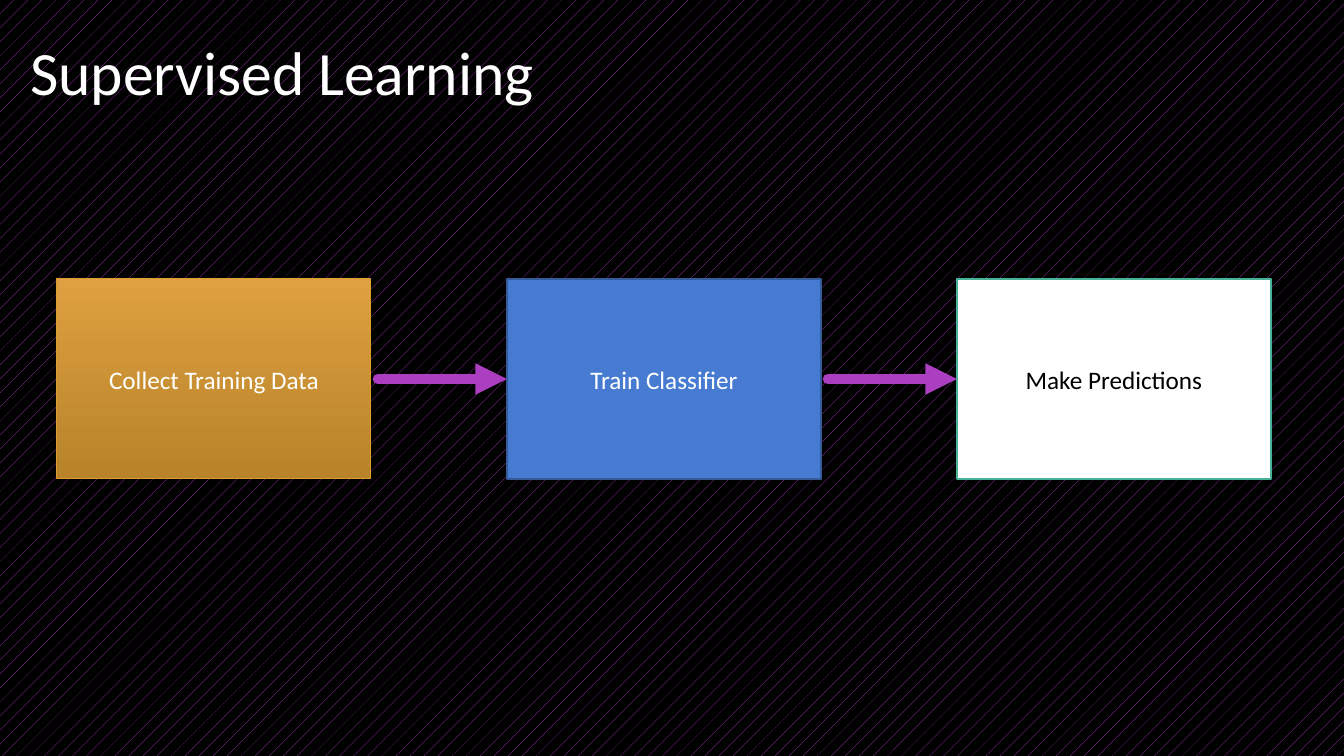
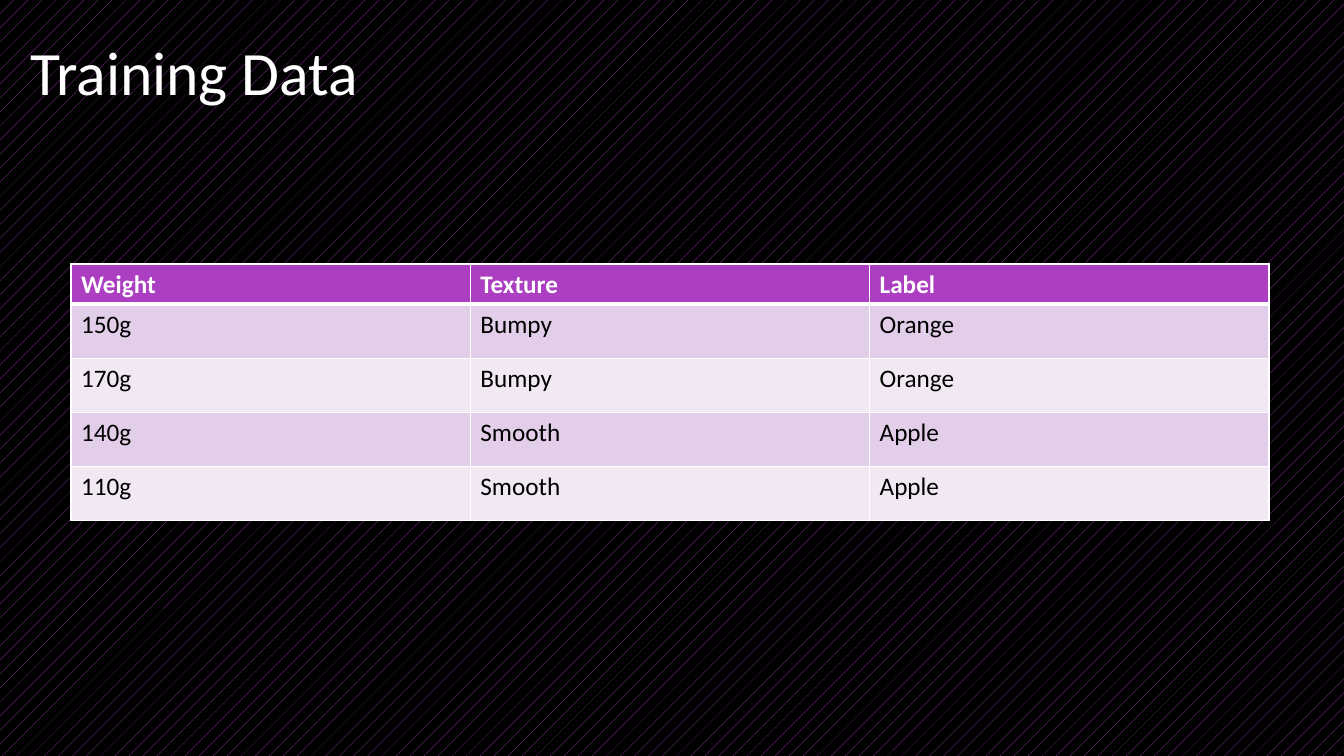
from lxml.etree import SubElement
from pptx import Presentation
from pptx.dml.color import RGBColor
from pptx.enum.dml import MSO_PATTERN
from pptx.enum.shapes import MSO_CONNECTOR, MSO_SHAPE
from pptx.enum.text import MSO_ANCHOR, MSO_AUTO_SIZE, PP_ALIGN
from pptx.oxml import parse_xml
from pptx.oxml.ns import nsdecls, qn
from pptx.util import Pt

EMU_PER_PX = 914400 / 100.8
SLIDE_W, SLIDE_H = 1344, 756
TITLE_ONLY = 5
COLORS = {
    "black": "000000", "white": "FFFFFF", "purple": "AC3EC1",
    "gold_top": "DEA040", "gold_bottom": "B88329", "gold_line": "DD9D31",
    "blue": "477BD1", "blue_line": "355B9B", "green_line": "46B298",
    "band_dark": "E3CEE9", "band_light": "F1E8F4",
}
TITLE_FONT = {"name": "Calibri", "size": Pt(44), "bold": False}
BODY_FONT = {"name": "Calibri", "size": Pt(18), "bold": False}
HEADER_FONT = {**BODY_FONT, "bold": True}

# label, fill colours (two make a gradient), line colour, line points, text colour
STEPS = [
    ("Collect Training Data", ["gold_top", "gold_bottom"], "gold_line", 0.75, "white"),
    ("Train Classifier", ["blue"], "blue_line", 1.5, "white"),
    ("Make Predictions", ["white"], "green_line", 1.5, "black"),
]
FRUIT_ROWS = [
    ("Weight", "Texture", "Label"),
    ("150g", "Bumpy", "Orange"),
    ("170g", "Bumpy", "Orange"),
    ("140g", "Smooth", "Apple"),
    ("110g", "Smooth", "Apple"),
]


def px(length):
    return round(length * EMU_PER_PX)


def rgb(name):
    return RGBColor.from_string(COLORS[name])


def write(frame, text, font_format, color, align=PP_ALIGN.LEFT):
    paragraph = frame.paragraphs[0]
    paragraph.alignment = align
    run = paragraph.add_run()
    run.text = text
    for attribute, value in font_format.items():
        setattr(run.font, attribute, value)
    run.font.color.rgb = rgb(color)


def style_master(prs):
    """Dark patterned background shared by all slides."""
    fill = prs.slide_master.background.fill
    fill.patterned()
    fill.pattern = MSO_PATTERN.PERCENT_5
    fill.fore_color.rgb = rgb("purple")
    fill.back_color.rgb = rgb("black")


def add_titled_slide(prs, text, title_width):
    slide = prs.slides.add_slide(prs.slide_layouts[TITLE_ONLY])
    title = slide.shapes.title
    box = {"left": 20, "top": 29, "width": title_width, "height": 85}
    for side, length in box.items():
        setattr(title, side, px(length))
    frame = title.text_frame
    frame.word_wrap = False
    frame.auto_size = MSO_AUTO_SIZE.SHAPE_TO_FIT_TEXT
    frame.vertical_anchor = MSO_ANCHOR.TOP
    write(frame, text, TITLE_FONT, "white")
    return slide


def add_step(slide, left, top, width, height, step):
    label, fills, line_color, line_points, text_color = step
    box = slide.shapes.add_shape(
        MSO_SHAPE.RECTANGLE, px(left), px(top), px(width), px(height))
    box.shadow.inherit = False
    if len(fills) > 1:
        box.fill.gradient()
        box.fill.gradient_angle = 270
        for stop, color in zip(box.fill.gradient_stops, fills):
            stop.color.rgb = rgb(color)
    else:
        box.fill.solid()
        box.fill.fore_color.rgb = rgb(fills[0])
    box.line.color.rgb = rgb(line_color)
    box.line.width = Pt(line_points)
    box.text_frame.word_wrap = True
    box.text_frame.vertical_anchor = MSO_ANCHOR.MIDDLE
    write(box.text_frame, label, BODY_FONT, text_color, PP_ALIGN.CENTER)
    return box


def add_arrow(slide, start, y, target):
    """Thick arrow that ends on the left side of the target box."""
    arrow = slide.shapes.add_connector(
        MSO_CONNECTOR.STRAIGHT, px(start), px(y), target.left, px(y))
    arrow.end_connect(target, 1)
    arrow.line.color.rgb = rgb("purple")
    arrow.line.width = Pt(7.5)
    properties = arrow._element.spPr
    outline = properties.find(qn("a:ln"))
    outline.set("cap", "rnd")
    SubElement(outline, qn("a:tailEnd"), type="triangle")
    SubElement(properties, qn("a:effectLst"))


def add_flow(slide, left, top, width, height, steps):
    """Equal boxes across the region, joined by arrows."""
    box_width, arrow_gap = 314, 7
    pitch = (width - box_width) / (len(steps) - 1)
    for index, step in enumerate(steps):
        box_left = left + index * pitch
        box = add_step(slide, box_left, top, box_width, height, step)
        if index:
            previous_right = box_left - pitch + box_width
            add_arrow(slide, previous_right + arrow_gap, top + height / 2, box)


def set_borders(cell, points):
    """White borders; points are given for left, right, top and bottom."""
    properties = cell._tc.get_or_add_tcPr()
    for index, (side, weight) in enumerate(zip("LRTB", points)):
        properties.insert(index, parse_xml(
            f'<a:ln{side} {nsdecls("a")} w="{Pt(weight)}"><a:solidFill>'
            f'<a:srgbClr val="{COLORS["white"]}"/></a:solidFill></a:ln{side}>'))


def add_data_table(slide, left, top, width, rows):
    header_height, row_height = 40, 54
    height = header_height + row_height * (len(rows) - 1)
    table = slide.shapes.add_table(
        len(rows), len(rows[0]), px(left), px(top), px(width), px(height)).table
    for column in table.columns:
        column.width = px(width / len(rows[0]))
    for r, values in enumerate(rows):
        header = r == 0
        table.rows[r].height = px(header_height if header else row_height)
        band = "purple" if header else ("band_light", "band_dark")[r % 2]
        for c, value in enumerate(values):
            cell = table.cell(r, c)
            cell.fill.solid()
            cell.fill.fore_color.rgb = rgb(band)
            # A heavier rule separates the header from the data
            set_borders(cell, (1, 1, 3 if r == 1 else 1, 3 if header else 1))
            write(cell.text_frame, value, HEADER_FONT if header else BODY_FONT,
                  "white" if header else "black")


def main():
    prs = Presentation()
    prs.slide_width, prs.slide_height = px(SLIDE_W), px(SLIDE_H)
    style_master(prs)

    learning = add_titled_slide(prs, "Supervised Learning", 530)
    add_flow(learning, 57, 279, 1214, 200, STEPS)

    training = add_titled_slide(prs, "Training Data", 353)
    add_data_table(training, 71, 264, 1198, FRUIT_ROWS)

    prs.save("out.pptx")


if __name__ == "__main__":
    main()
